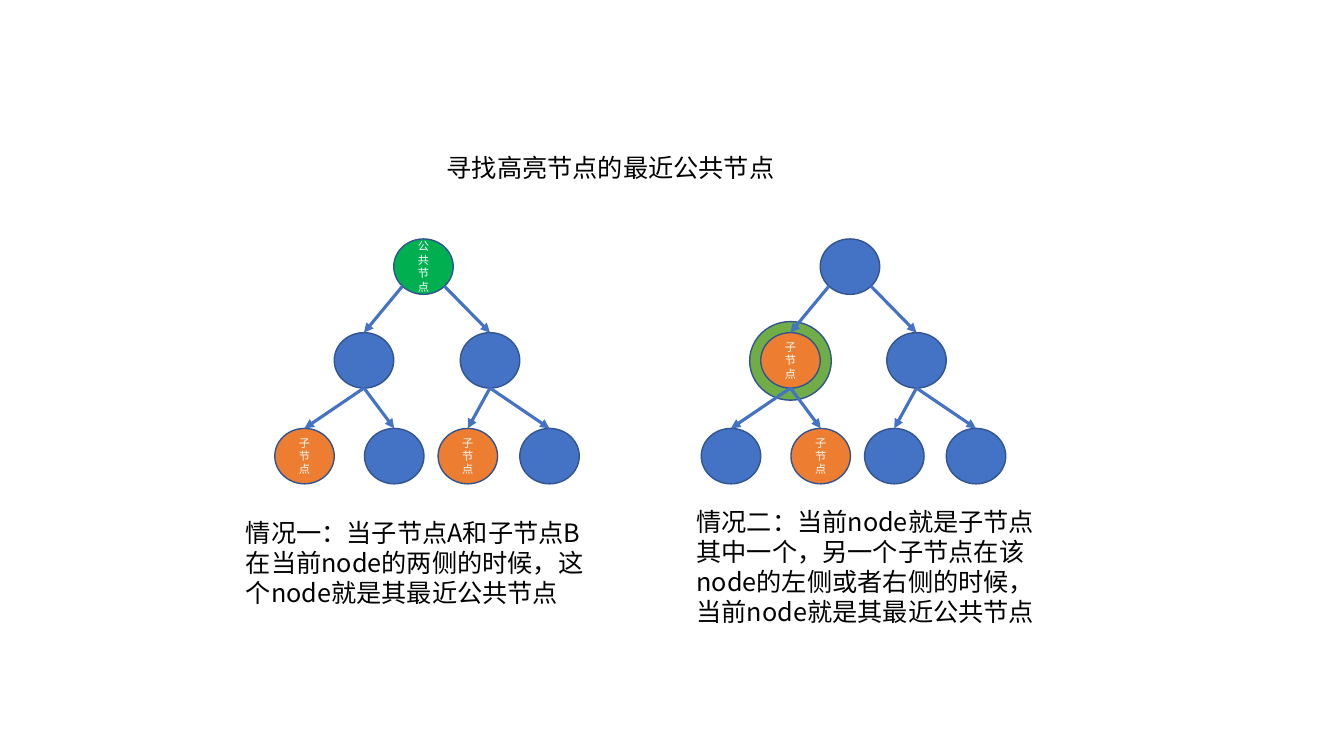
import math

import pptx
import pptx.dml.color
import pptx.enum.shapes
import pptx.enum.text
import pptx.oxml.ns
import pptx.util
from lxml import etree

Inches = pptx.util.Inches
Pt = pptx.util.Pt
RGBColor = pptx.dml.color.RGBColor

BLUE = RGBColor(0x44, 0x72, 0xC4)
OUTLINE = RGBColor(0x32, 0x54, 0x91)
ORANGE = RGBColor(0xED, 0x7D, 0x31)
GREEN = RGBColor(0x00, 0xB0, 0x50)
RING_GREEN = RGBColor(0x70, 0xAD, 0x47)
WHITE = RGBColor(0xFF, 0xFF, 0xFF)
BLACK = RGBColor(0x00, 0x00, 0x00)
FONT = "Noto Sans CJK SC"

NODE_W, NODE_H = 0.59, 0.55
# Node centre relative to the root centre, and top edge, in level order
NODE_SPOTS = [(0, 2.37), (-0.59, 3.3), (0.66, 3.3),
              (-1.18, 4.25), (-0.29, 4.25), (0.44, 4.25), (1.25, 4.25)]
COMMON = ("公共节点", GREEN)
CHILD = ("子节点", ORANGE)


def add_child(parent, tag, **attributes):
    """Append a DrawingML element to an XML parent."""
    return etree.SubElement(parent, pptx.oxml.ns.qn(tag), attributes)


def write(frame, text, size, color, align, anchor):
    """Put one formatted run into a wrapping text frame."""
    frame.word_wrap = True
    frame.vertical_anchor = anchor
    paragraph = frame.paragraphs[0]
    paragraph.alignment = align
    run = paragraph.add_run()
    run.text = text
    run.font.size = Pt(size)
    run.font.color.rgb = color
    run.font.name = FONT
    add_child(run.font._element, "a:ea", typeface=FONT)


def write_body(frame, text):
    """Write black 18 pt text, left aligned from the top."""
    write(frame, text, 18, BLACK, pptx.enum.text.PP_ALIGN.LEFT,
          pptx.enum.text.MSO_ANCHOR.TOP)


def add_title(slide, text, left, top, width, height):
    """Move the title placeholder and fill it."""
    title = slide.shapes.title
    title.left, title.top = Inches(left), Inches(top)
    title.width, title.height = Inches(width), Inches(height)
    title.text_frame.auto_size = pptx.enum.text.MSO_AUTO_SIZE.NONE
    write_body(title.text_frame, text)


def add_caption(slide, text, left, top, width, height):
    """Add the explanation below a tree."""
    caption = slide.shapes.add_textbox(
        Inches(left), Inches(top), Inches(width), Inches(height))
    write_body(caption.text_frame, text)


def add_ellipse(slide, center_x, top, width, height, fill, label=""):
    """Add an outlined ellipse with an optional white label."""
    ellipse = slide.shapes.add_shape(
        pptx.enum.shapes.MSO_SHAPE.OVAL, Inches(center_x - width / 2),
        Inches(top), Inches(width), Inches(height))
    ellipse.shadow.inherit = False
    ellipse.fill.solid()
    ellipse.fill.fore_color.rgb = fill
    ellipse.line.color.rgb = OUTLINE
    ellipse.line.width = Pt(1)
    if label:
        write(ellipse.text_frame, label, 8, WHITE,
              pptx.enum.text.PP_ALIGN.CENTER,
              pptx.enum.text.MSO_ANCHOR.MIDDLE)
    return ellipse


def add_edge(slide, start_x, start_y, child):
    """Add an arrow from a point to the top of a child node."""
    edge = slide.shapes.add_connector(
        pptx.enum.shapes.MSO_CONNECTOR.STRAIGHT,
        Inches(start_x), Inches(start_y), child.left, child.top)
    edge.end_connect(child, 0)
    edge.line.color.rgb = BLUE
    edge.line.width = Pt(2.25)
    add_child(edge.line._get_or_add_ln(), "a:tailEnd", type="triangle")
    add_child(edge._element.spPr, "a:effectLst")


def add_tree(slide, root_x, highlights):
    """Add a seven-node tree; highlights maps node index to label and fill."""
    nodes = []
    for index, (offset, top) in enumerate(NODE_SPOTS):
        label, fill = highlights.get(index, ("", BLUE))
        nodes.append(add_ellipse(slide, root_x + offset, top,
                                 NODE_W, NODE_H, fill, label))
    diagonal = math.sqrt(0.5)
    for index in range(1, len(nodes)):
        parent = (index - 1) // 2
        offset, top = NODE_SPOTS[parent]
        start_x, start_y = root_x + offset, top + NODE_H
        if parent == 0:  # root arrows leave from its lower diagonals
            side = -1 if index == 1 else 1
            start_x += side * diagonal * NODE_W / 2
            start_y = top + NODE_H / 2 * (1 + diagonal)
        add_edge(slide, start_x, start_y, nodes[index])


def main():
    """Build the slide on the lowest common node of two highlighted nodes."""
    deck = pptx.Presentation()
    deck.slide_width, deck.slide_height = Inches(13.33), Inches(7.5)
    slide = deck.slides.add_slide(deck.slide_layouts[5])

    add_title(slide, "寻找高亮节点的最近公共节点", 4.33, 1.46, 7.5, 0.4)
    add_ellipse(slide, 7.84, 3.19, 0.81, 0.78, RING_GREEN)
    add_tree(slide, 4.2, {0: COMMON, 3: CHILD, 5: CHILD})
    add_tree(slide, 8.43, {1: CHILD, 4: CHILD})
    add_caption(slide, "情况一：当子节点A和子节点B在当前node的两侧的时候，"
                "这个node就是其最近公共节点", 2.34, 5.08, 3.65, 1.01)
    add_caption(slide, "情况二：当前node就是子节点其中一个，另一个子节点在该node的"
                "左侧或者右侧的时候，当前node就是其最近公共节点",
                6.81, 4.97, 3.65, 1.31)
    deck.save("out.pptx")


main()
